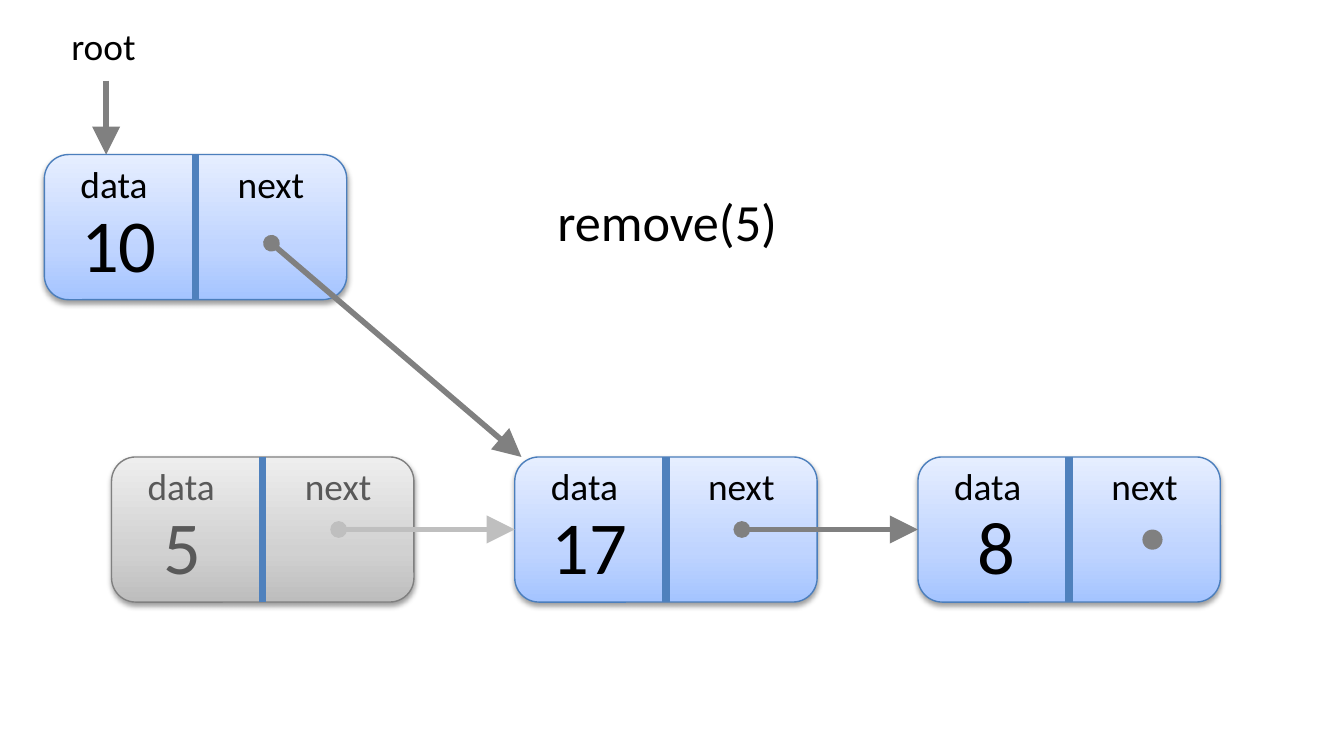
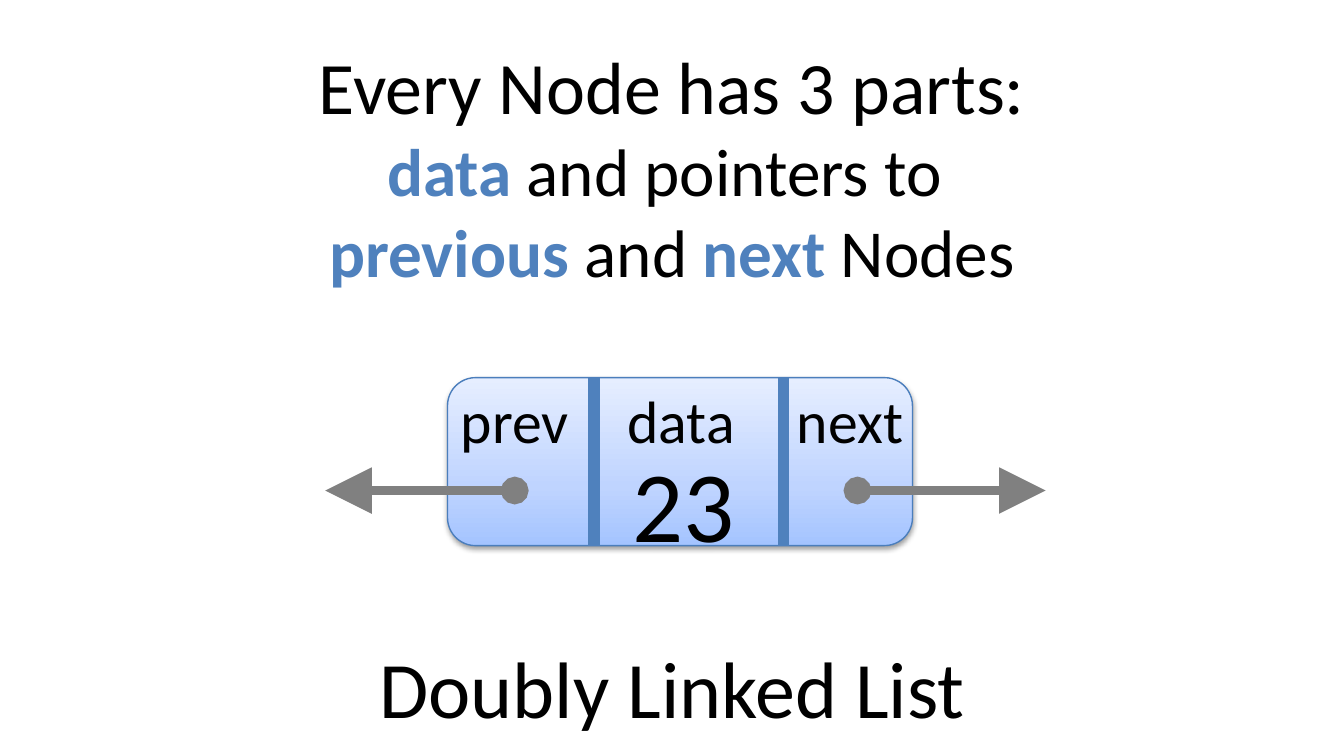
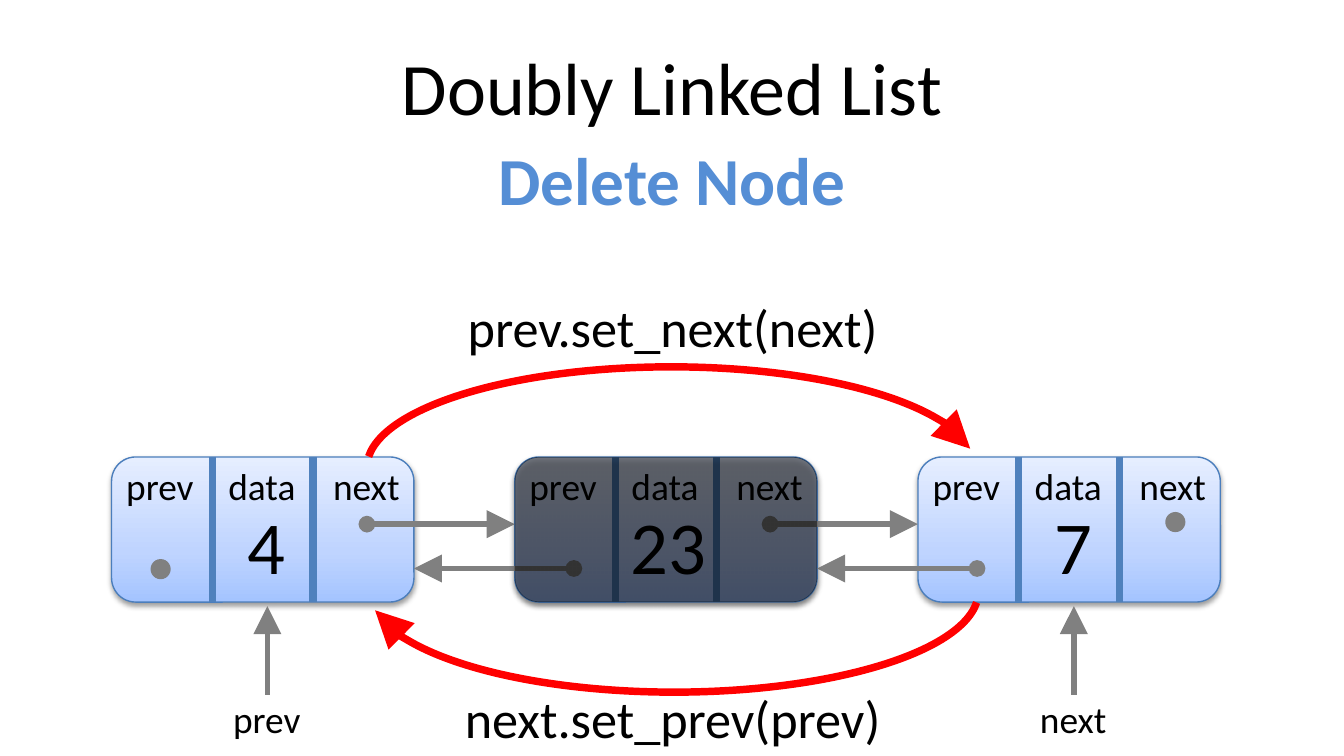
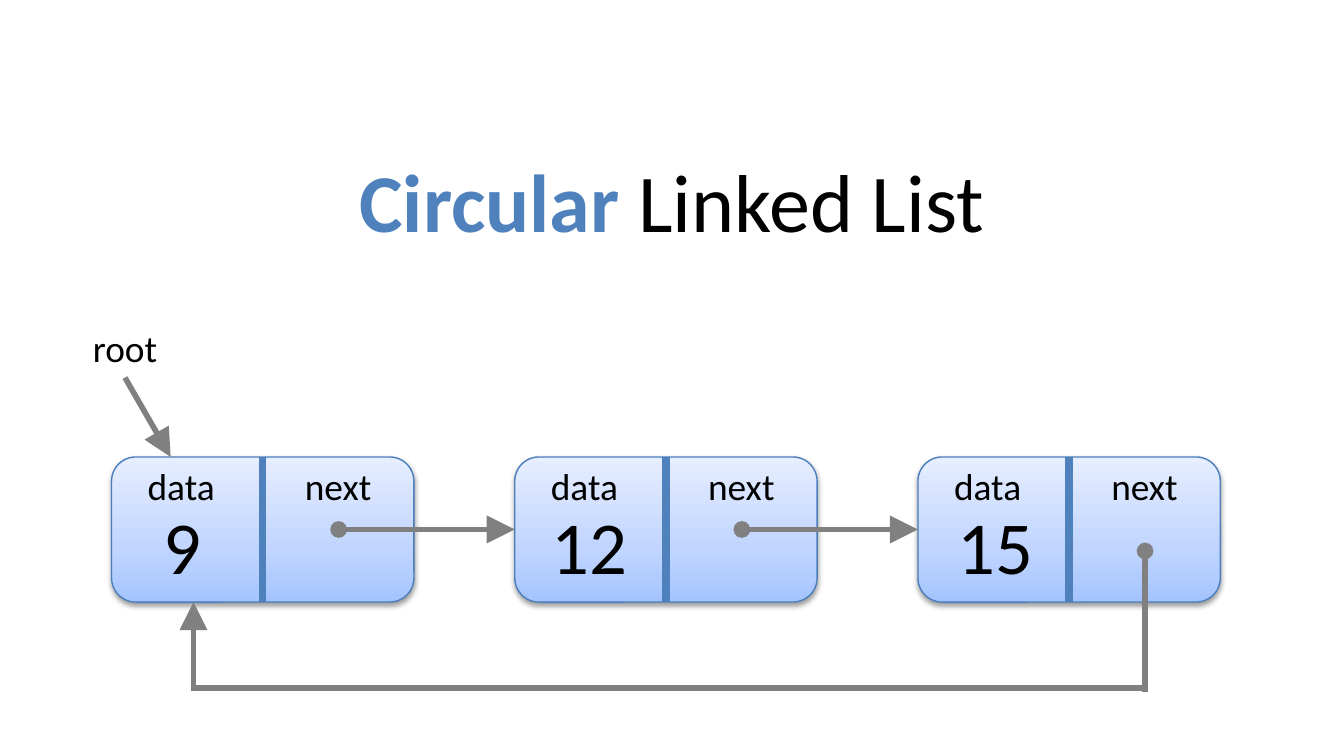
from dataclasses import dataclass

from lxml.etree import SubElement
from pptx import Presentation
from pptx.dml.color import RGBColor
from pptx.enum.shapes import MSO_CONNECTOR as CXN, MSO_SHAPE as SHAPE
from pptx.enum.text import MSO_ANCHOR as ANCHOR, MSO_AUTO_SIZE as FIT, PP_ALIGN as ALIGN
from pptx.oxml.ns import qn
from pptx.util import Inches, Pt

FONT = "Calibri"
COLORS = {
    "ink": "000000", "faded_ink": "595959", "accent": "4F81BD", "sub": "558ED5",
    "edge": "4B7EBC", "arrow": "808080", "faded_arrow": "BFBFBF", "new_link": "FF0000",
}
BLUE = {"stops": ("A4C4FF", "BFD4FF", "E6EEFF"), "edge": "edge", "ink": "ink"}
GRAY = {"stops": ("BDBDBD", "D1D1D1", "EEEEEE"), "edge": "arrow", "ink": "faded_ink"}
STOP_POSITIONS = (0, 35000, 100000)
ROW_X = [0.83 + 3 * i for i in range(3)]
ROW_Y = 3.4


@dataclass
class NodeKind:
    """Offsets and sizes of the parts inside a list node."""
    w: float
    h: float
    labels: dict
    dividers: tuple
    divider_pt: float
    label_w: float
    label_h: float
    label_pt: int
    value_x: dict
    value_y: float
    value_w: dict
    value_h: float
    value_pt: int


SINGLE = NodeKind(2.25, 1.08, {"data": 0.17, "next": 1.34}, (2.25 / 2,), 4, 0.71, 0.44, 20,
                  {1: 0.28, 2: 0.17}, 0.27, {1: 0.49, 2: 0.77}, 0.77, 40)
DOUBLE = NodeKind(2.25, 1.08, {"prev": 0.01, "data": 0.77, "next": 1.55}, (0.75, 1.5), 4,
                  0.71, 0.44, 20, {1: 0.91, 2: 0.76}, 0.27, {1: 0.49, 2: 0.77}, 0.77, 40)
LARGE = NodeKind(3.46, 1.25, {"prev": 0, "data": 1.24, "next": 2.5}, (1.09, 2.5), 6,
                 1.01, 0.64, 32, {2: 1.27}, 0.43, {2: 0.97}, 1.01, 54)


def rgb(name):
    """Return the named colour."""
    return RGBColor.from_string(COLORS[name])


def style_run(r, size, color="ink", bold=False):
    """Format one run."""
    r.font.name, r.font.size, r.font.bold = FONT, Pt(size), bold
    r.font.color.rgb = rgb(color)


def add_text(shapes, box, text, size, color="ink", align=ALIGN.LEFT, wrap=False):
    """Add a one-line text box that fits its text."""
    s = shapes.add_textbox(*map(Inches, box))
    tf = s.text_frame
    tf.word_wrap, tf.auto_size = wrap, FIT.SHAPE_TO_FIT_TEXT
    tf.text = text
    p = tf.paragraphs[0]
    p.alignment = align
    style_run(p.runs[0], size, color)


def fill_heading(s, box, lines, space, line_spacing=None):
    """Place a centred heading and fill its lines of (text, size, colour, bold) runs."""
    s.left, s.top, s.width, s.height = map(Inches, box)
    tf = s.text_frame
    tf.word_wrap, tf.auto_size, tf.vertical_anchor = True, FIT.NONE, ANCHOR.MIDDLE
    p = tf.paragraphs[0]
    p.alignment, p.line_spacing = ALIGN.CENTER, line_spacing
    p.space_before = p.space_after = Pt(space)
    for i, line in enumerate(lines):
        if i:
            p.add_line_break()
            SubElement(p._p.findall(qn("a:br"))[-1], qn("a:rPr"), sz=str(int(line[0][1] * 100)))
        for text, *look in line:
            r = p.add_run()
            r.text = text
            style_run(r, *look)


def add_ends(s, head, tail):
    """Set the arrowheads of an outline, with large triangles."""
    ln = s.line._get_or_add_ln()
    if head:
        SubElement(ln, qn("a:headEnd"), type=head)
    if tail:
        SubElement(ln, qn("a:tailEnd"), type=tail, w="lg", len="lg")


def add_line(shapes, start, end, color="arrow", width=3, head=None, tail=None):
    """Add a straight line between two points."""
    s = shapes.add_connector(CXN.STRAIGHT, *map(Inches, (*start, *end)))
    s.line.color.rgb, s.line.width = rgb(color), Pt(width)
    add_ends(s, head, tail)
    SubElement(s._element.spPr, qn("a:effectLst"))
    return s


def add_link(shapes, start, end, target=None, **look):
    """Add a pointer arrow with a dot at its start, joined to a target's left side."""
    s = add_line(shapes, start, end, head="oval", tail="triangle", **look)
    if target is not None:
        s.end_connect(target, 1)


def add_dot(shapes, x, y):
    """Add the dot of an empty pointer."""
    s = shapes.add_shape(SHAPE.OVAL, *map(Inches, (x, y, 0.15, 0.15)))
    s.shadow.inherit = False
    s.fill.solid()
    s.fill.fore_color.rgb = rgb("arrow")
    s.line.fill.background()


def add_card(shapes, box):
    """Add a rounded box with a soft shadow."""
    s = shapes.add_shape(SHAPE.ROUNDED_RECTANGLE, *map(Inches, box))
    s.shadow.inherit = False
    effects = s._element.spPr.find(qn("a:effectLst"))
    shadow = SubElement(effects, qn("a:outerShdw"), blurRad=str(Pt(3.1)), dist=str(Pt(1.6)),
                        dir="5400000", rotWithShape="0")
    color = SubElement(shadow, qn("a:srgbClr"), val=COLORS["ink"])
    SubElement(color, qn("a:alpha"), val="38000")
    return s


def shade_card(s, palette):
    """Fill a card with a vertical three-stop gradient and outline it."""
    s.fill.gradient()
    s.fill.gradient_angle = 90
    stops = s._element.spPr.find(".//" + qn("a:gsLst"))
    for gs in list(stops):
        stops.remove(gs)
    for pos, color in zip(STOP_POSITIONS, palette["stops"]):
        gs = SubElement(stops, qn("a:gs"), pos=str(pos))
        SubElement(gs, qn("a:srgbClr"), val=color)
    s.line.color.rgb, s.line.width = rgb(palette["edge"]), Pt(0.75)


def add_node(slide, x, y, value, kind=SINGLE, palette=BLUE, value_x=None):
    """Draw a list node with its top left at x, y and return its card."""
    shapes = slide.shapes.add_group_shape().shapes
    card = add_card(shapes, (x, y, kind.w, kind.h))
    shade_card(card, palette)
    for label, dx in kind.labels.items():
        add_text(shapes, (x + dx, y, kind.label_w, kind.label_h), label, kind.label_pt,
                 palette["ink"])
    for dx in kind.dividers:
        s = add_line(shapes, (x + dx, y), (x + dx, y + kind.h), "accent", kind.divider_pt)
        if dx * 2 == kind.w:
            s.begin_connect(card, 0)
            s.end_connect(card, 2)
    digits = len(value)
    dx = kind.value_x[digits] if value_x is None else value_x
    add_text(shapes, (x + dx, y + kind.value_y, kind.value_w[digits], kind.value_h), value,
             kind.value_pt, palette["ink"], ALIGN.CENTER)
    return card


def add_single_row(slide, nodes, link_colors):
    """Draw a row of linked single nodes from (value, palette, value offset)."""
    cards = [add_node(slide, x, ROW_Y, value, SINGLE, palette, dx)
             for x, (value, palette, dx) in zip(ROW_X, nodes)]
    y = ROW_Y + SINGLE.h / 2
    for x, target, color in zip(ROW_X, cards[1:], link_colors):
        add_link(slide.shapes, (x + 1.69, y), (x + 3, y), target, color=color)


def add_arc(shapes, box, rotation=0):
    """Add a curved arrow for a new link."""
    s = shapes.add_shape(SHAPE.ARC, *map(Inches, box))
    s.adjustments[0], s.adjustments[1] = 109.26, 213.83
    s.rotation = rotation
    s.shadow.inherit = False
    s.fill.background()
    s.line.color.rgb, s.line.width = rgb("new_link"), Pt(4)
    add_ends(s, None, "triangle")


def add_overlay(shapes, box):
    """Darken the deleted node with a half-transparent card."""
    s = add_card(shapes, box)
    s.fill.solid()
    s.fill.fore_color.rgb = rgb("ink")
    color = s._element.spPr.find(qn("a:solidFill")).find(qn("a:srgbClr"))
    SubElement(color, qn("a:alpha"), val="50000")
    s.line.fill.background()


def build_remove(slide):
    """Show removing a node from a singly linked list."""
    shapes = slide.shapes
    add_single_row(slide, [("5", GRAY, None), ("17", BLUE, None), ("8", BLUE, 0.34)],
                   ("faded_arrow", "arrow"))
    add_dot(shapes, 8.5, 3.94)
    add_line(shapes, (0.79, 0.6), (0.79, 1.15), tail="triangle")
    add_text(shapes, (0.43, 0.12, 0.68, 0.44), "root", 20, align=ALIGN.CENTER)
    add_text(shapes, (3.88, 1.36, 2.17, 0.57), "remove(5)", 28, align=ALIGN.CENTER, wrap=True)
    add_node(slide, 0.33, 1.15, "10")
    add_link(shapes, (2.02, 1.81), (3.88, ROW_Y))


def build_node_parts(slide):
    """Explain the three parts of a doubly linked node."""
    shapes = slide.shapes
    add_node(slide, 3.33, 2.81, "23", LARGE)
    for start, end in ((6.38, 7.78), (3.83, 2.42)):
        add_link(shapes, (start, 3.65), (end, 3.65), width=5)
    fill_heading(shapes.title, (0.5, 0.4, 9, 1.67), [
        [("Every Node has 3 parts:", 39.6)],
        [("data ", 36, "accent", True), ("and pointers to ", 36)],
        [("previous", 36, "accent", True), (" and ", 36), ("next ", 36, "accent", True),
         ("Nodes", 36)],
    ], 24)
    box = (0.5, 4.65, 9, 0.92)
    fill_heading(shapes.add_textbox(*map(Inches, box)), box, [[("Doubly Linked List", 42.9)]], 24)


def build_delete(slide):
    """Show deleting the middle node of a doubly linked list."""
    shapes = slide.shapes
    for x, value in zip(ROW_X, ("4", "23", "7")):
        add_node(slide, x, ROW_Y, value, DOUBLE)
    for x in ROW_X[:2]:
        add_link(shapes, (x + 1.9, 3.9), (x + 3, 3.9))
        add_link(shapes, (x + 3.44, 4.23), (x + 2.25, 4.23))
    add_dot(shapes, 8.67, 3.81)
    add_dot(shapes, 1.12, 4.16)
    fill_heading(shapes.title, (0.5, 0.15, 9, 1.58), [
        [("Doubly Linked List", 39.6)],
        [("Delete Node", 36, "sub", True)],
    ], 12, 1.1)
    add_arc(shapes, (2.73, 2.73, 4.53, 1.5))
    add_arc(shapes, (2.75, 3.65, 4.53, 1.5), 180)
    add_overlay(shapes, (ROW_X[1], ROW_Y, DOUBLE.w, DOUBLE.h))
    for y, call in ((2.15, "prev.set_next(next)"), (5.06, "next.set_prev(prev)")):
        add_text(shapes, (3.17, y, 3.67, 0.57), call, 28, align=ALIGN.CENTER, wrap=True)
    for x, label in ((1.99, "prev"), (7.99, "next")):
        add_line(shapes, (x, 5.17), (x, 4.51), tail="triangle")
        add_text(shapes, (x - 0.36, 5.13, 0.71, 0.44), label, 20, align=ALIGN.CENTER)


def build_circular(slide):
    """Show a circular linked list."""
    shapes = slide.shapes
    add_single_row(slide, [("9", BLUE, None), ("12", BLUE, None), ("15", BLUE, 0.19)],
                   ("arrow", "arrow"))
    add_line(shapes, (0.93, 2.81), (1.27, ROW_Y), tail="triangle")
    add_text(shapes, (0.59, 2.37, 0.68, 0.44), "root", 20, align=ALIGN.CENTER)
    add_line(shapes, (8.52, 4.1), (8.52, 5.15), head="oval")
    add_line(shapes, (8.52, 5.12), (1.42, 5.12))
    add_line(shapes, (1.44, 5.12), (1.44, 4.48), tail="triangle")
    fill_heading(shapes.title, (0.5, 0.65, 9, 1.67),
                 [[("Circular ", 44, "accent", True), ("Linked List", 44)]], 24)


def main():
    """Build the deck."""
    prs = Presentation()
    prs.slide_width, prs.slide_height = Inches(10), Inches(10 * 9 / 16)
    blank, title_only = prs.slide_layouts[6], prs.slide_layouts[5]
    for build, layout in ((build_remove, blank), (build_node_parts, title_only),
                          (build_delete, title_only), (build_circular, title_only)):
        build(prs.slides.add_slide(layout))
    prs.save("out.pptx")


if __name__ == "__main__":
    main()
